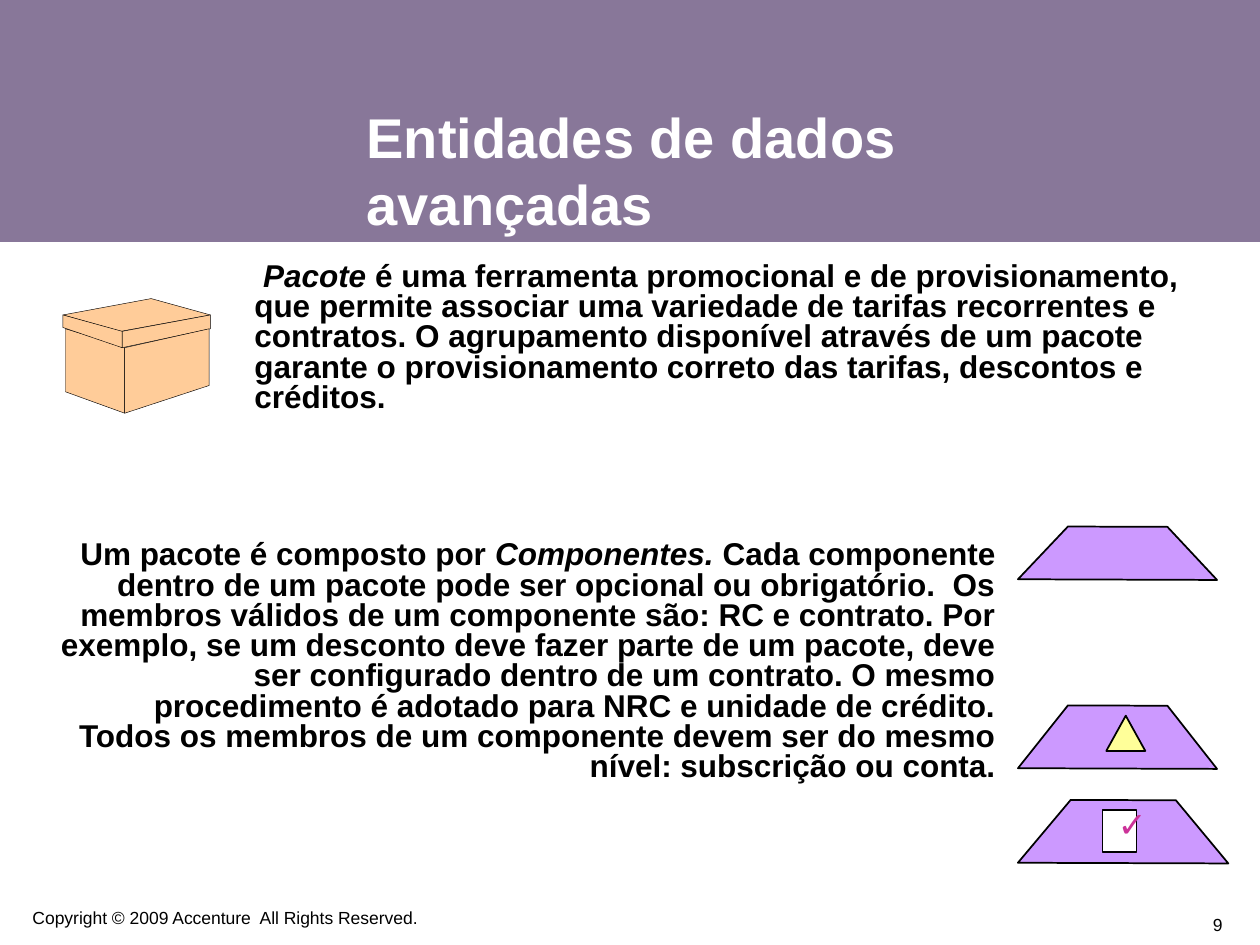
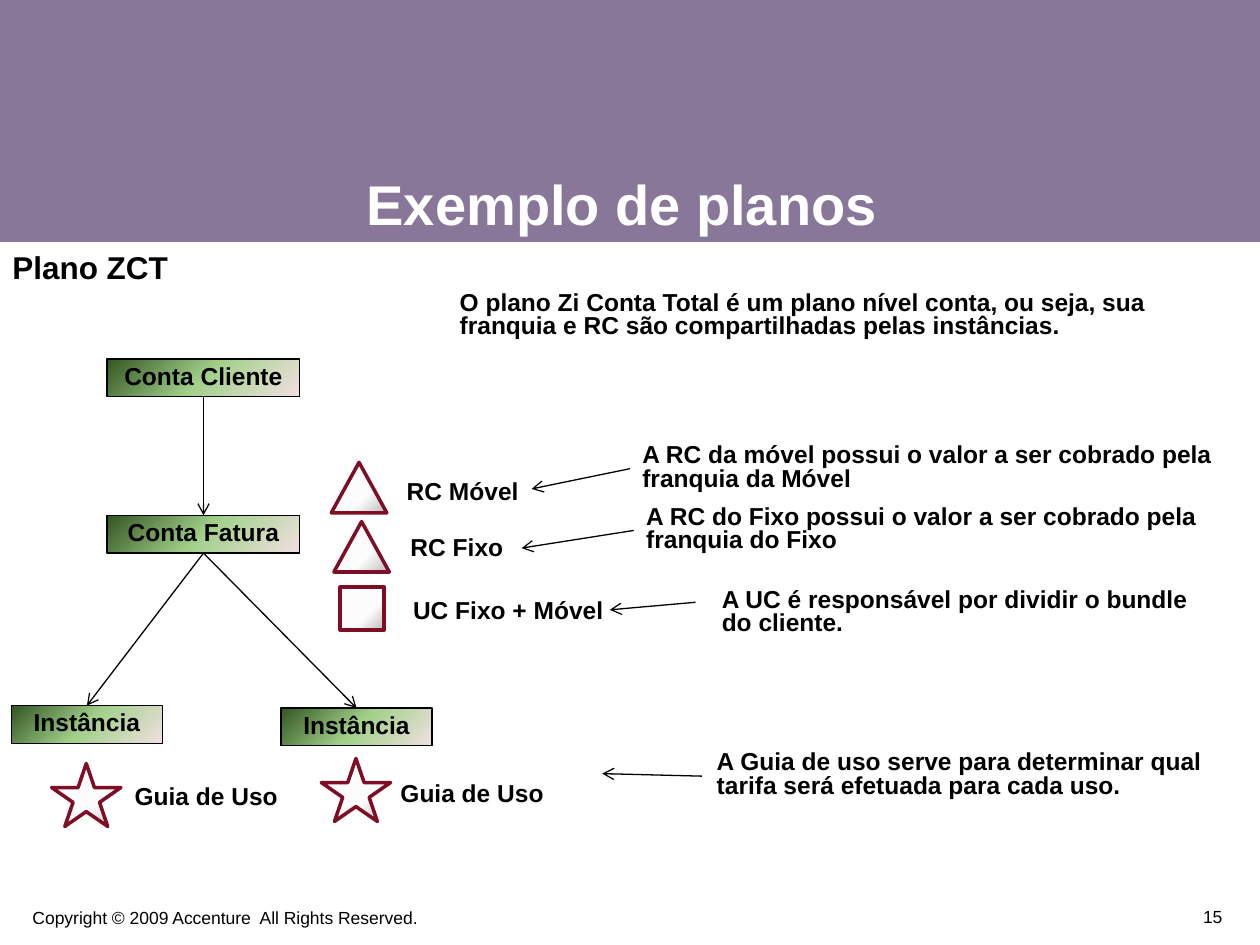
"""Builds two slides: advanced data entities and a plan example."""
from lxml.etree import SubElement
from pptx import Presentation
from pptx.dml.color import RGBColor
from pptx.enum.shapes import MSO_CONNECTOR, MSO_SHAPE as SHAPE
from pptx.enum.text import MSO_ANCHOR as ANCHOR, MSO_AUTO_SIZE, PP_ALIGN as ALIGN
from pptx.oxml.ns import qn
from pptx.util import Inches, Pt

COLORS = {
    "band": "887799", "white": "FFFFFF", "black": "000000", "box": "FFCC99",
    "component": "CC99FF", "charge": "FFFF99", "check": "CC3399", "wine": "7E0D26",
}
GREEN = [(0, "335522"), (50, "A2D08A"), (100, "F2E0E1")]
SILVER = [(0, "FCFCFC"), (65, "FBFBFB"), (100, "BABABA")]
FONT = "Arial"

presentation = Presentation()
presentation.slide_width, presentation.slide_height = Inches(10), Inches(7.5)
COLUMN = presentation.slide_width // 100
ROW = presentation.slide_height // 75
layout = presentation.slide_layouts[5]


def add(slide, kind, at, fill=None, line=None, width=1):
    """Adds a preset shape, or a text box when kind is None, at grid cells."""
    box = [round(value * unit) for value, unit in zip(at, (COLUMN, ROW, COLUMN, ROW))]
    if kind is None:
        return slide.shapes.add_textbox(*box)
    shape = slide.shapes.add_shape(kind, *box)
    shape.shadow.inherit = False
    if isinstance(fill, list):
        shape.fill.gradient()
        shape.fill.gradient_angle = 315
        stops = shape._element.spPr.find(".//" + qn("a:gsLst"))
        for stop in list(stops):
            stops.remove(stop)
        for position, color in fill:
            stop = SubElement(stops, qn("a:gs"), pos=str(position * 1000))
            SubElement(stop, qn("a:srgbClr"), val=color)
    else:
        shape.fill.solid()
        shape.fill.fore_color.rgb = RGBColor.from_string(COLORS[fill])
    if line:
        shape.line.color.rgb = RGBColor.from_string(COLORS[line])
        shape.line.width = Pt(width)
    else:
        shape.line.fill.background()
    return shape


def write(shape, text, size=14, bold=True, color="black", align=ALIGN.LEFT, spacing=0.8):
    """Writes one paragraph a line, with italics between asterisks."""
    frame = shape.text_frame
    frame.word_wrap = True
    for number, line in enumerate(text.split("\n")):
        paragraph = frame.add_paragraph() if number else frame.paragraphs[0]
        paragraph.alignment, paragraph.line_spacing = align, spacing
        for index, piece in enumerate(line.split("*")):
            if piece:
                run = paragraph.add_run()
                run.text = piece
                run.font.name, run.font.size = FONT, Pt(size)
                run.font.bold, run.font.italic = bold, index % 2 == 1
                run.font.color.rgb = RGBColor.from_string(COLORS[color])
    return frame


slides = []
for title_text, number, number_top in [
    ("Entidades de dados \vavançadas", "9", 71.7),
    ("Exemplo de planos", "15", 71.1),
]:
    slide = presentation.slides.add_slide(layout)
    slides.append(slide)
    title = slide.shapes.title
    title.left, title.top = round(28.1 * COLUMN), round(6.8 * ROW)
    title.width, title.height = round(48.8 * COLUMN), round(12.5 * ROW)
    title.text_frame.text = title_text
    title.text_frame.vertical_anchor = ANCHOR.BOTTOM
    title.text_frame.auto_size = MSO_AUTO_SIZE.NONE
    paragraph = title.text_frame.paragraphs[0]
    paragraph.alignment = ALIGN.LEFT
    for run in paragraph.runs:
        run.font.name, run.font.size, run.font.bold = FONT, Pt(32), True
        run.font.color.rgb = RGBColor.from_string(COLORS["white"])
    number_box = add(slide, None, (79.5, number_top, 18.5, 3))
    write(number_box, number, 10, False, align=ALIGN.RIGHT, spacing=1).vertical_anchor = ANCHOR.BOTTOM

entities, plans = slides

band = add(entities, SHAPE.RECTANGLE, (0, 0, 100, 19.2), "band")
footer = add(entities, None, (1.6, 71.8, 32.7, 2.3))
write(footer, "Copyright © 2009 Accenture  All Rights Reserved.", 10, False).word_wrap = False
for index, shape in enumerate((band, footer)):
    shape._element.xpath(".//p:cNvPr")[0].set("id", str(20 + index))
    layout.shapes._spTree.insert(2 + index, shape._element)

box_faces = [
    [(52, 261), (52, 311), (99, 328), (99, 275)],
    [(167, 250), (120, 237), (50, 250), (96, 263)],
    [(97, 263), (97, 276), (167, 261), (167, 250)],
    [(50, 250), (50, 260), (97, 276), (97, 263)],
    [(166, 261), (166, 306), (99, 328), (99, 276)],
]
for start, *corners in box_faces:
    builder = entities.shapes.build_freeform(*start, scale=COLUMN / 10)
    builder.add_line_segments(corners, close=True)
    face = builder.convert_to_shape()
    face.shadow.inherit = False
    face.fill.solid()
    face.fill.fore_color.rgb = RGBColor.from_string(COLORS["box"])
    face.line.color.rgb = RGBColor.from_string(COLORS["black"])
    face.line.width = Pt(0.25)

write(add(entities, None, (19.2, 20.4, 79.2, 16.2)),
      "* Pacote *é uma ferramenta promocional e de provisionamento, que permite associar uma "
      "variedade de tarifas recorrentes e contratos. O agrupamento disponível através de um "
      "pacote garante o provisionamento correto das tarifas, descontos e créditos.", 18)
write(add(entities, None, (2.5, 42.5, 77.5, 25.2)),
      "Um pacote é composto por *Componentes. *Cada componente dentro de um pacote pode ser "
      "opcional ou obrigatório.  Os membros válidos de um componente são: RC e contrato. Por "
      "exemplo, se um desconto deve fazer parte de um pacote, deve ser configurado dentro de um "
      "contrato. O mesmo procedimento é adotado para NRC e unidade de crédito.\n"
      "Todos os membros de um componente devem ser do mesmo nível: subscrição ou conta.",
      18, align=ALIGN.RIGHT)

for top, width, height in [(41.8, 15.8, 4.2), (56, 15.8, 5), (63.5, 16.7, 5)]:
    component = add(entities, SHAPE.TRAPEZOID, (80.8, top, width, height), "component", "black")
    component.adjustments[0] = width / 4 / height
    component.rotation = 0.2
add(entities, SHAPE.ISOSCELES_TRIANGLE, (87.8, 56.8, 3.1, 2.8), "charge", "black")
add(entities, SHAPE.RECTANGLE, (87.5, 64.3, 2.7, 3.3), "white", "black")
check = write(add(entities, None, (88.7, 64.3, 1.5, 3.4)), "✓", 20, color="check")
check.margin_left = check.margin_right = check.margin_top = check.margin_bottom = 0

accounts = []
for name, left, top, width in [
    ("Conta Cliente", 8.5, 28.5, 15.3), ("Conta Fatura", 8.5, 40.9, 15.3),
    ("Instância", 0.9, 56, 12), ("Instância", 22.3, 56.2, 12),
]:
    account = add(plans, SHAPE.RECTANGLE, (left, top, width, 3), GREEN, "black", 0.75)
    write(account, name, align=ALIGN.CENTER).vertical_anchor = ANCHOR.MIDDLE
    accounts.append(account)

for kind, at in [
    (SHAPE.ISOSCELES_TRIANGLE, (26.3, 36.7, 4.4, 4)),
    (SHAPE.ISOSCELES_TRIANGLE, (26.5, 41.4, 4.4, 4)),
    (SHAPE.RECTANGLE, (27, 46.6, 3.5, 3.4)),
    (SHAPE.STAR_5_POINT, (25.5, 60.2, 5.5, 5)),
    (SHAPE.STAR_5_POINT, (4.1, 60.6, 5.5, 5)),
]:
    add(plans, kind, at, SILVER, "wine", 2)

for text, at in [
    ("RC Móvel", (31.3, 37.7, 17, 2.9)),
    ("RC Fixo", (31.6, 42.2, 17, 2.9)),
    ("UC Fixo + Móvel", (31.8, 47.2, 22.6, 2.9)),
    ("Guia de Uso", (30.8, 61.7, 14.7, 2.9)),
    ("Guia de Uso", (9.7, 61.9, 15.1, 2.9)),
    ("O plano Zi Conta Total é um plano nível conta, ou seja, sua franquia e RC são "
     "compartilhadas pelas instâncias.", (35.5, 22.7, 62.7, 4.8)),
    ("A RC da móvel possui o valor a ser cobrado pela franquia da Móvel", (50, 34.8, 47.4, 4.8)),
    ("A RC do Fixo possui o valor a ser cobrado pela franquia do Fixo", (50.3, 39.7, 47.1, 4.8)),
    ("A UC é responsável por dividir o bundle do cliente.", (56.3, 46.3, 40.8, 4.8)),
    ("A Guia de uso serve para determinar qual tarifa será efetuada para cada uso.",
     (55.9, 59.2, 41.7, 4.8)),
]:
    write(add(plans, None, at), text)
write(add(plans, None, (0, 19.8, 36, 3.4)), "Plano ZCT", 18)

arrows = []
for parent, child in [(0, 1), (1, 2), (1, 3)]:
    arrow = plans.shapes.add_connector(MSO_CONNECTOR.STRAIGHT, 0, 0, 0, 0)
    arrow.begin_connect(accounts[parent], 2)
    arrow.end_connect(accounts[child], 0)
    arrows.append(arrow)
for ends in [(50, 37.2, 42.2, 38.8), (50.3, 42.1, 41.4, 43.5),
             (55.2, 47.8, 48.4, 48.4), (55.7, 61.6, 47.8, 61.4)]:
    points = [round(value * unit) for value, unit in zip(ends, (COLUMN, ROW, COLUMN, ROW))]
    arrows.append(plans.shapes.add_connector(MSO_CONNECTOR.STRAIGHT, *points))
for arrow in arrows:
    arrow.line.color.rgb = RGBColor.from_string(COLORS["black"])
    arrow.line.width = Pt(0.75)
    properties = arrow._element.spPr
    SubElement(properties.find(qn("a:ln")), qn("a:tailEnd"), type="arrow")
    SubElement(properties, qn("a:effectLst"))

presentation.save("out.pptx")
